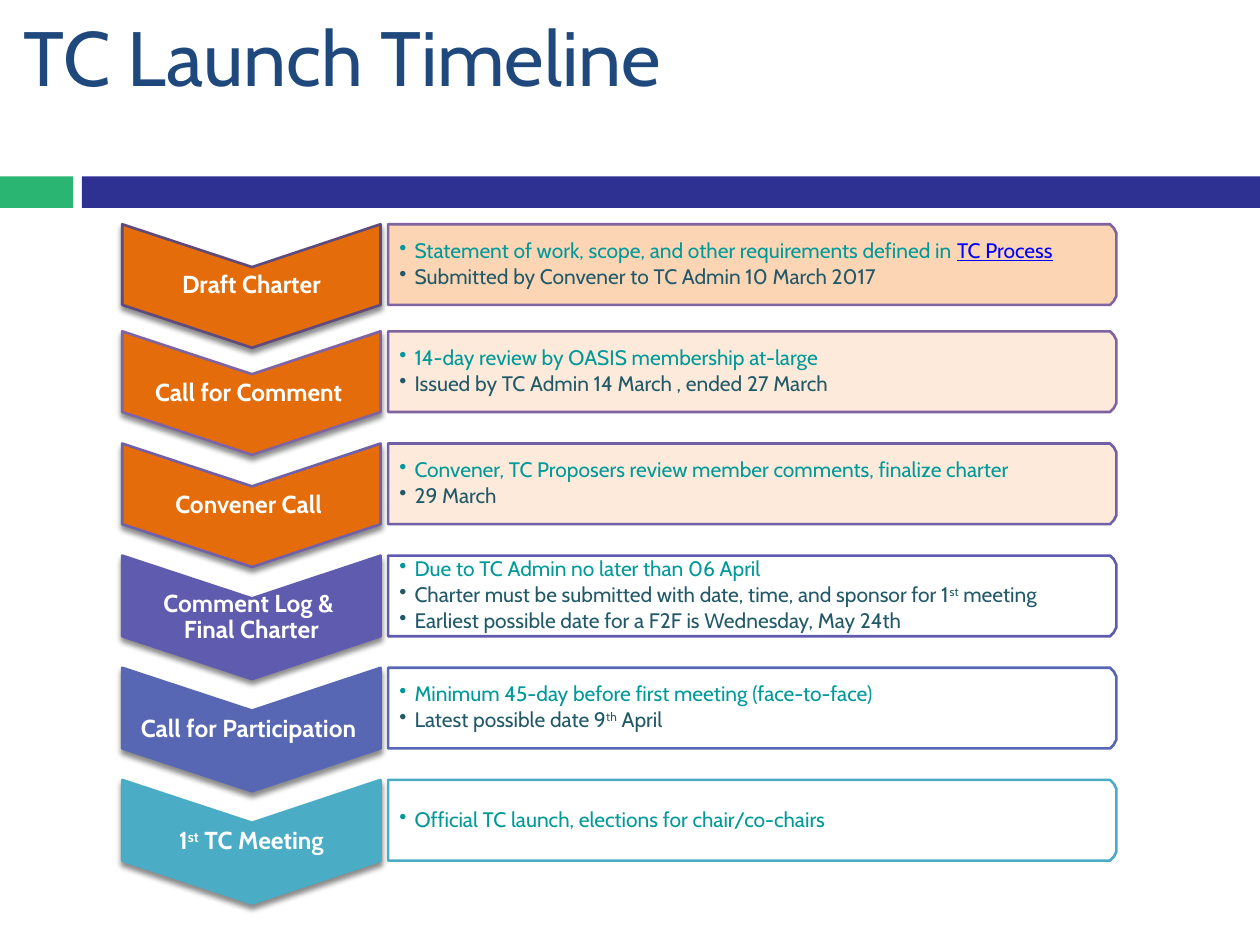
import math
from dataclasses import dataclass

from lxml import etree
from pptx import Presentation
from pptx.dml.color import RGBColor
from pptx.enum.shapes import MSO_SHAPE
from pptx.enum.text import MSO_ANCHOR, MSO_AUTO_SIZE, PP_ALIGN
from pptx.oxml.ns import qn
from pptx.util import Emu, Pt

RECTANGLE = MSO_SHAPE.RECTANGLE
MIDDLE = MSO_ANCHOR.MIDDLE
LEFT, CENTER = PP_ALIGN.LEFT, PP_ALIGN.CENTER
NO_FIT = MSO_AUTO_SIZE.NONE

EMU_PER_PX = 9144  # 100 px to the inch
TITLE_ONLY = 5


def px(length: int) -> Emu:
    return Emu(length * EMU_PER_PX)


@dataclass(frozen=True)
class Theme:
    font: str = "Cabin"
    title_size: int = 44
    label_size: int = 14
    detail_size: int = 12
    line_width: float = 1.5
    title: str = "1F497D"
    green: str = "2AB573"
    navy: str = "2E3092"
    white: str = "FFFFFF"
    lead: str = "009999"
    detail: str = "215968"
    link: str = "0000FF"
    orange: str = "E46C0A"
    peach: str = "FCD5B5"
    pale_peach: str = "FDEADA"
    dark_purple: str = "604A7B"
    purple: str = "8064A2"
    violet: str = "7160A8"
    indigo: str = "5F5BAE"
    blue: str = "5767B4"
    aqua: str = "4BACC6"


THEME = Theme()


@dataclass(frozen=True)
class Span:
    text: str
    raised: bool = False
    linked: bool = False
    break_after: bool = False


@dataclass(frozen=True)
class Step:
    label: list[Span]
    details: list[list[Span]]
    arrow_fill: str
    arrow_line: str
    panel_fill: str
    panel_line: str


STEPS = [
    Step([Span("Draft Charter")],
         [[Span("Statement of work, scope, and other requirements defined in "),
           Span("TC Process", linked=True)],
          [Span("Submitted by Convener to TC Admin 10 March 2017")]],
         THEME.orange, THEME.dark_purple, THEME.peach, THEME.purple),
    Step([Span("Call for Comment ")],
         [[Span("14-day review by OASIS membership at-large")],
          [Span("Issued by TC Admin 14 March , ended 27 March")]],
         THEME.orange, THEME.purple, THEME.pale_peach, THEME.purple),
    Step([Span("Convener Call ")],
         [[Span("Convener, TC Proposers review member comments, finalize charter")],
          [Span("29 March")]],
         THEME.orange, THEME.violet, THEME.pale_peach, THEME.violet),
    Step([Span("Comment Log & ", break_after=True), Span("Final Charter")],
         [[Span("Due to TC Admin no later than 06 April")],
          [Span("Charter must be submitted with date, time, and sponsor for 1"),
           Span("st", raised=True), Span(" meeting")],
          [Span("Earliest possible date for a F2F is Wednesday, May 24th")]],
         THEME.indigo, THEME.indigo, THEME.white, THEME.indigo),
    Step([Span("Call for Participation ")],
         [[Span("Minimum 45-day before first meeting (face-to-face)")],
          [Span("Latest possible date 9"), Span("th", raised=True), Span(" April")]],
         THEME.blue, THEME.blue, THEME.white, THEME.blue),
    Step([Span("1"), Span("st", raised=True), Span(" TC Meeting")],
         [[Span("Official TC launch, elections for chair/co-chairs")]],
         THEME.aqua, THEME.aqua, THEME.white, THEME.aqua),
]

# The first step stands a little closer to the second than the others do
STEP_TOPS = [178, *range(263, 620, 89)]
ARROW_LEFT, ARROW_RIGHT, NOTCH = 97, 302, 34
PANEL_LEFT, PANEL_RIGHT = 308, 886
BAND_HEIGHT = 64
CORNER_WIDTH, CORNER_HEIGHT, CORNER_STEPS = 6, 11, 8


def draw_outline(page, points: list[tuple], fill: str, line: str):
    builder = page.shapes.build_freeform(*points[0], scale=EMU_PER_PX)
    builder.add_line_segments(points[1:], close=True)
    shape = builder.convert_to_shape()
    shape.shadow.inherit = False
    shape.fill.solid()
    shape.fill.fore_color.rgb = RGBColor.from_string(fill)
    shape.line.color.rgb = RGBColor.from_string(line)
    shape.line.width = Pt(THEME.line_width)
    return shape


def set_frame(shape, left: int, top: int, right: int, bottom: int):
    frame = shape.text_frame
    frame.word_wrap = True
    frame.vertical_anchor = MIDDLE
    frame.margin_left, frame.margin_top = px(left), px(top)
    frame.margin_right, frame.margin_bottom = px(right), px(bottom)
    return frame


def add_spans(para, spans: list[Span], size: int, color: str, bold: bool = False) -> None:
    for span in spans:
        run = para.add_run()
        run.text = span.text
        run.font.name = THEME.font
        run.font.size = Pt(size)
        run.font.bold = bold
        run.font.color.rgb = RGBColor.from_string(THEME.link if span.linked else color)
        if span.linked:
            run.font.underline = True
        if span.raised:
            run.font._element.set("baseline", "30000")
        if span.break_after:
            para.add_line_break()


def add_drop_shadow(shape) -> None:
    effects = shape._element.spPr.find(qn("a:effectLst"))
    shadow = etree.SubElement(effects, qn("a:outerShdw"), blurRad=str(Pt(3)),
                              dist=str(Pt(2.4)), dir="5400000", rotWithShape="0")
    color = etree.SubElement(shadow, qn("a:srgbClr"), val="000000")
    etree.SubElement(color, qn("a:alpha"), val="45000")


def add_bullet(para, indent: int) -> None:
    properties = para._p.get_or_add_pPr()
    properties.set("marL", str(px(indent)))
    properties.set("indent", str(-px(indent)))
    etree.SubElement(properties, qn("a:buChar"), char="•")


def draw_arrow(page, step: Step, top: int) -> None:
    middle = (ARROW_LEFT + ARROW_RIGHT) / 2
    bottom = top + BAND_HEIGHT
    points = [(ARROW_LEFT, top), (middle, top + NOTCH), (ARROW_RIGHT, top),
              (ARROW_RIGHT, bottom), (middle, bottom + NOTCH), (ARROW_LEFT, bottom)]
    arrow = draw_outline(page, points, step.arrow_fill, step.arrow_line)
    add_drop_shadow(arrow)
    para = set_frame(arrow, 0, 35, 0, 35).paragraphs[0]
    para.alignment = CENTER
    para.line_spacing = 0.9
    add_spans(para, step.label, THEME.label_size, THEME.white, bold=True)


def draw_panel(page, step: Step, top: int) -> None:
    bottom = top + BAND_HEIGHT
    turns = [math.pi / 2 * i / CORNER_STEPS for i in range(CORNER_STEPS + 1)]
    corner = [(CORNER_WIDTH * (1 - math.sin(t)), CORNER_HEIGHT * (1 - math.cos(t)))
              for t in reversed(turns)]
    points = [(PANEL_LEFT, bottom), (PANEL_LEFT, top)]
    points += [(PANEL_RIGHT - x, top + y) for x, y in reversed(corner)]
    points += [(PANEL_RIGHT - x, bottom - y) for x, y in corner]
    panel = draw_outline(page, points, step.panel_fill, step.panel_line)
    frame = set_frame(panel, 9, 4, 4, 4)
    for index, spans in enumerate(step.details):
        para = frame.add_paragraph() if index else frame.paragraphs[0]
        para.alignment = LEFT
        add_bullet(para, 12)
        para.line_spacing = 0.9
        para.space_after = Pt(1.8)
        add_spans(para, spans, THEME.detail_size, THEME.detail if index else THEME.lead)


def draw_bar(page, left: int, width: int, color: str) -> None:
    bar = page.shapes.add_shape(RECTANGLE, px(left), px(140), px(width), px(25))
    bar.shadow.inherit = False
    bar.fill.solid()
    bar.fill.fore_color.rgb = RGBColor.from_string(color)
    bar.line.fill.background()


def set_title(page, text: str) -> None:
    title = page.shapes.title
    title.left, title.top, title.width, title.height = px(9), px(-18), px(900), px(125)
    frame = set_frame(title, 10, 5, 10, 5)
    frame.auto_size = NO_FIT
    frame.paragraphs[0].alignment = LEFT
    add_spans(frame.paragraphs[0], [Span(text)], THEME.title_size, THEME.title)


def main() -> None:
    deck = Presentation()
    deck.slide_width, deck.slide_height = px(1000), px(750)
    page = deck.slides.add_slide(deck.slide_layouts[TITLE_ONLY])

    # Heading and divider
    set_title(page, "TC Launch Timeline")
    draw_bar(page, 0, 58, THEME.green)
    draw_bar(page, 65, 935, THEME.navy)

    # Timeline steps
    for step, top in zip(STEPS, STEP_TOPS):
        draw_arrow(page, step, top)
        draw_panel(page, step, top)

    deck.save("out.pptx")


if __name__ == "__main__":
    main()
